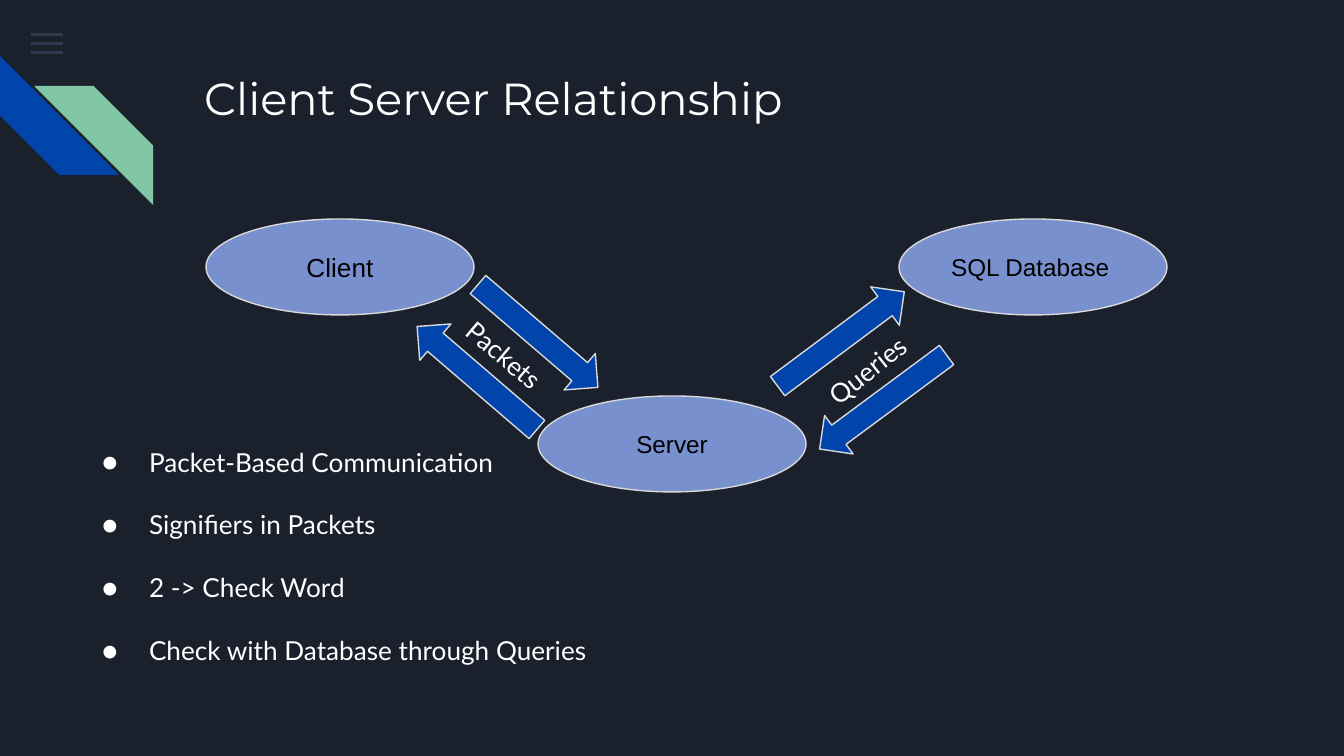
from lxml.etree import SubElement
from pptx import Presentation
from pptx.dml.color import RGBColor
from pptx.enum.shapes import MSO_SHAPE
from pptx.enum.text import MSO_ANCHOR, MSO_AUTO_SIZE, PP_ALIGN
from pptx.oxml.ns import qn
from pptx.util import Pt

PX = 914400 / 134.4
NAVY = RGBColor(0x1B, 0x21, 0x2C)
SLATE = RGBColor(0x55, 0x68, 0x8B)
BLUE = RGBColor(0x01, 0x45, 0xAC)
GREEN = RGBColor(0x82, 0xC7, 0xA5)
PERI = RGBColor(0x78, 0x90, 0xCD)
GREY = RGBColor(0xD9, 0xD9, 0xD9)
WHITE = RGBColor(0xFF, 0xFF, 0xFF)
BLACK = RGBColor(0, 0, 0)
LEFT, MID = PP_ALIGN.LEFT, PP_ALIGN.CENTER

TITLE = "Client Server Relationship"
POINTS = [
    "Packet-Based Communication",
    "Signifiers in Packets",
    "2 -> Check Word",
    "Check with Database through Queries",
]
NODES = [
    ("Client", 206, 219, 14, MID),
    ("Server", 538, 396, 13, MID),
    ("SQL Database", 899, 219, 13, LEFT),
]
ARROWS = [(538, 336, 40.6), (477, 378, 220.7), (841, 339, 323.3), (883, 402, 143.5)]
LABELS = [("Packets", 503, 356, 267, 40.4), ("Queries", 868, 371, 324, 321.6)]
STRIPES = [(0, 56, BLUE, 270), (34, 86, GREEN, 90)]


def px(*nums):
    return [round(n * PX) for n in nums]


def draw(kind, box, fill, line=None, turn=0):
    shape = slide.shapes.add_shape(kind, *px(*box))
    shape.shadow.inherit = False
    shape.rotation = turn
    shape.fill.solid()
    shape.fill.fore_color.rgb = fill
    if line is None:
        shape.line.fill.background()
    else:
        shape.line.color.rgb = line
        shape.line.width = Pt(0.75)
    return shape


def frame(shape, anchor):
    text = shape.text_frame
    text.word_wrap = True
    text.auto_size = MSO_AUTO_SIZE.NONE
    text.vertical_anchor = anchor
    (text.margin_left, text.margin_top,
     text.margin_right, text.margin_bottom) = px(13, 13, 13, 13)
    return text


def style(para, name, size, color, align):
    para.alignment = align
    para.line_spacing = 1.0
    para.font.name = name
    para.font.size = Pt(size)
    para.font.color.rgb = color


def place(shape, box):
    shape.left, shape.top, shape.width, shape.height = px(*box)


def bullet(para):
    props = para._p.get_or_add_pPr()
    indent, hang = px(67, 47)
    props.set("marL", str(indent))
    props.set("indent", str(-hang))
    tint = SubElement(props, qn("a:buClr"))
    SubElement(tint, qn("a:srgbClr")).set("val", str(WHITE))
    SubElement(props, qn("a:buFont")).set("typeface", "Lato")
    SubElement(props, qn("a:buChar")).set("char", "●")


deck = Presentation()
deck.slide_width, deck.slide_height = px(1344, 756)
slide = deck.slides.add_slide(deck.slide_layouts[1])
slide.background.fill.solid()
slide.background.fill.fore_color.rgb = NAVY

for row in range(3):
    bar = draw(MSO_SHAPE.RECTANGLE, (31, 33 + 9 * row, 32, 3), SLATE)
    tint = bar._element.spPr.find(qn("a:solidFill"))[0]
    SubElement(tint, qn("a:alpha")).set("val", "36000")

for x, y, color, turn in STRIPES:
    draw(MSO_SHAPE.DIAGONAL_STRIPE, (x, y, 119, 119), color, turn=turn)

title = slide.shapes.title
place(title, (191, 58, 1035, 134))
text = frame(title, MSO_ANCHOR.TOP)
text.text = TITLE
style(text.paragraphs[0], "Montserrat", 24, WHITE, LEFT)

for name, x, y, size, align in NODES:
    node = draw(MSO_SHAPE.OVAL, (x, y, 268, 96), PERI, GREY)
    text = frame(node, MSO_ANCHOR.MIDDLE)
    text.text = name
    style(text.paragraphs[0], "Arial", size, BLACK, align)

for x, y, turn in ARROWS:
    draw(MSO_SHAPE.RIGHT_ARROW, (x - 79, y - 24, 158, 48), BLUE, GREY, turn)

for name, x, y, wide, turn in LABELS:
    label = slide.shapes.add_textbox(*px(x - wide / 2, y - 30, wide, 60))
    label.rotation = turn
    text = frame(label, MSO_ANCHOR.TOP)
    text.text = name
    style(text.paragraphs[0], "Lato", 14, WHITE, MID)

body = slide.placeholders[1]
place(body, (69, 433, 542, 249))
text = frame(body, MSO_ANCHOR.TOP)
text.text = "\n".join(POINTS)
for rank, para in enumerate(text.paragraphs):
    para.space_before = Pt(16.8 if rank else 0)
    para.space_after = Pt(0)
    para.line_spacing = 1.0
    bullet(para)
    style(para, "Lato", 14, WHITE, LEFT)

deck.save("out.pptx")
